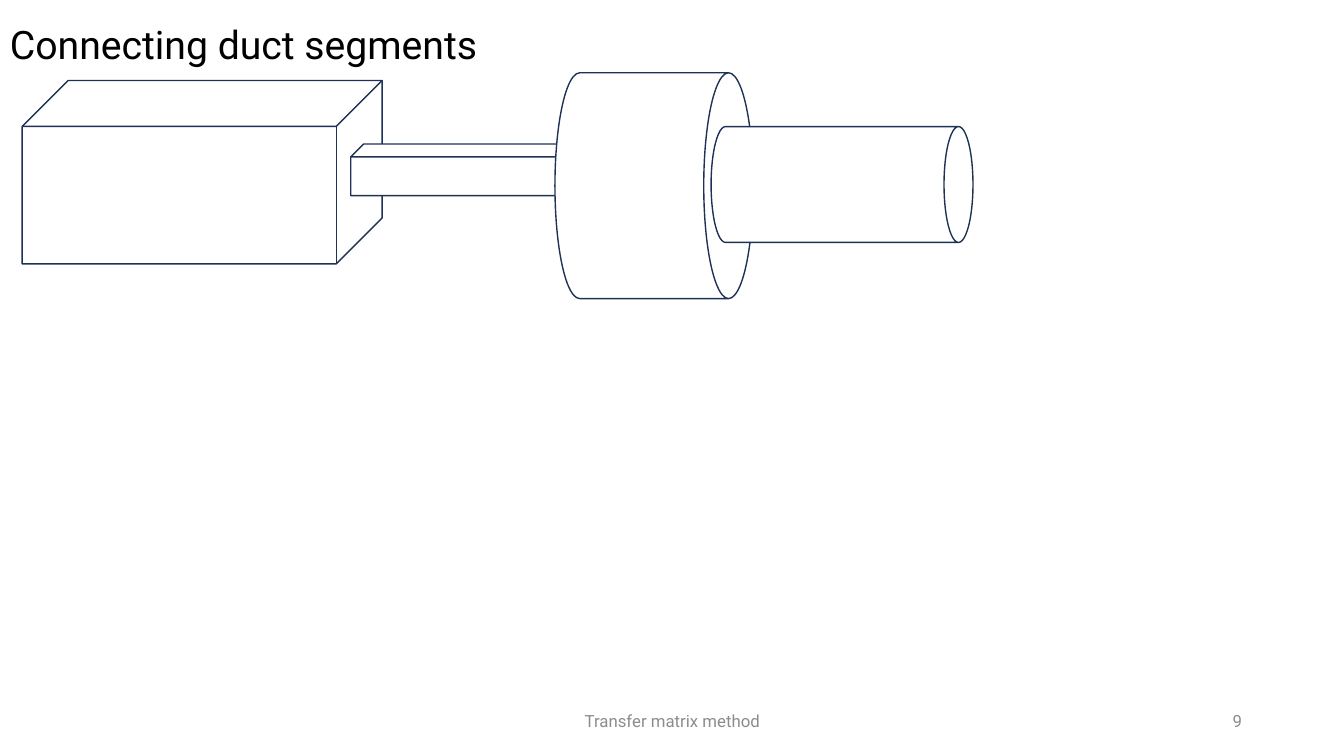
from pptx import Presentation
from pptx.dml.color import RGBColor
from pptx.enum.shapes import MSO_SHAPE as Shape
from pptx.enum.text import MSO_ANCHOR as Anchor, PP_ALIGN as Align
from pptx.util import Cm, Pt

BLACK = RGBColor(0x00, 0x00, 0x00)
WHITE = RGBColor(0xFF, 0xFF, 0xFF)
GREY = RGBColor(0x8C, 0x8C, 0x8C)
NAVY = RGBColor(0x1E, 0x32, 0x56)


def write_text(frame, text, size=12, color=GREY, align=Align.LEFT, spacing=1.0):
    frame.word_wrap = True
    frame.vertical_anchor = Anchor.MIDDLE
    paragraph = frame.paragraphs[0]
    paragraph.text = text
    paragraph.alignment = align
    paragraph.line_spacing = spacing
    paragraph.font.name = "Roboto"
    paragraph.font.size = Pt(size)
    paragraph.font.color.rgb = color


class DuctSlide:
    """Holds the slide and the common style of its elements."""

    def __init__(self, presentation, line_color=NAVY, line_width=1):
        self.slide = presentation.slides.add_slide(presentation.slide_layouts[6])
        self.line_color = line_color
        self.line_width = Pt(line_width)

    def text_box(self, box, text, **text_format):
        shape = self.slide.shapes.add_textbox(*map(Cm, box))
        write_text(shape.text_frame, text, **text_format)

    def duct(self, kind, box, fill=WHITE, rotation=0):
        shape = self.slide.shapes.add_shape(kind, *map(Cm, box))
        shape.shadow.inherit = False
        shape.rotation = rotation
        if fill is None:
            shape.fill.background()
        else:
            shape.fill.solid()
            shape.fill.fore_color.rgb = fill
        shape.line.color.rgb = self.line_color
        shape.line.width = self.line_width


def main():
    presentation = Presentation()
    presentation.slide_width = Cm(33.87)
    presentation.slide_height = Cm(19.05)
    page = DuctSlide(presentation)

    # Title and footer
    page.text_box((0, 0, 33.87, 2.36), "Connecting duct segments",
                  size=28, color=BLACK, spacing=0.9)
    page.text_box((11.23, 17.65, 11.43, 1.02), "Transfer matrix method",
                  align=Align.CENTER)
    page.text_box((23.93, 17.65, 7.62, 1.02), "9", align=Align.RIGHT)

    # Rectangular ducts
    page.duct(Shape.CUBE, (0.56, 2.03, 9.07, 4.62), fill=None)
    page.duct(Shape.CUBE, (8.84, 3.63, 6.05, 1.3))

    # Circular ducts, lying on their side
    page.duct(Shape.CAN, (13.64, 2.18, 5.69, 5), rotation=90)
    page.duct(Shape.CAN, (19.76, 1.35, 2.92, 6.6), rotation=90)

    presentation.save("out.pptx")


if __name__ == "__main__":
    main()
